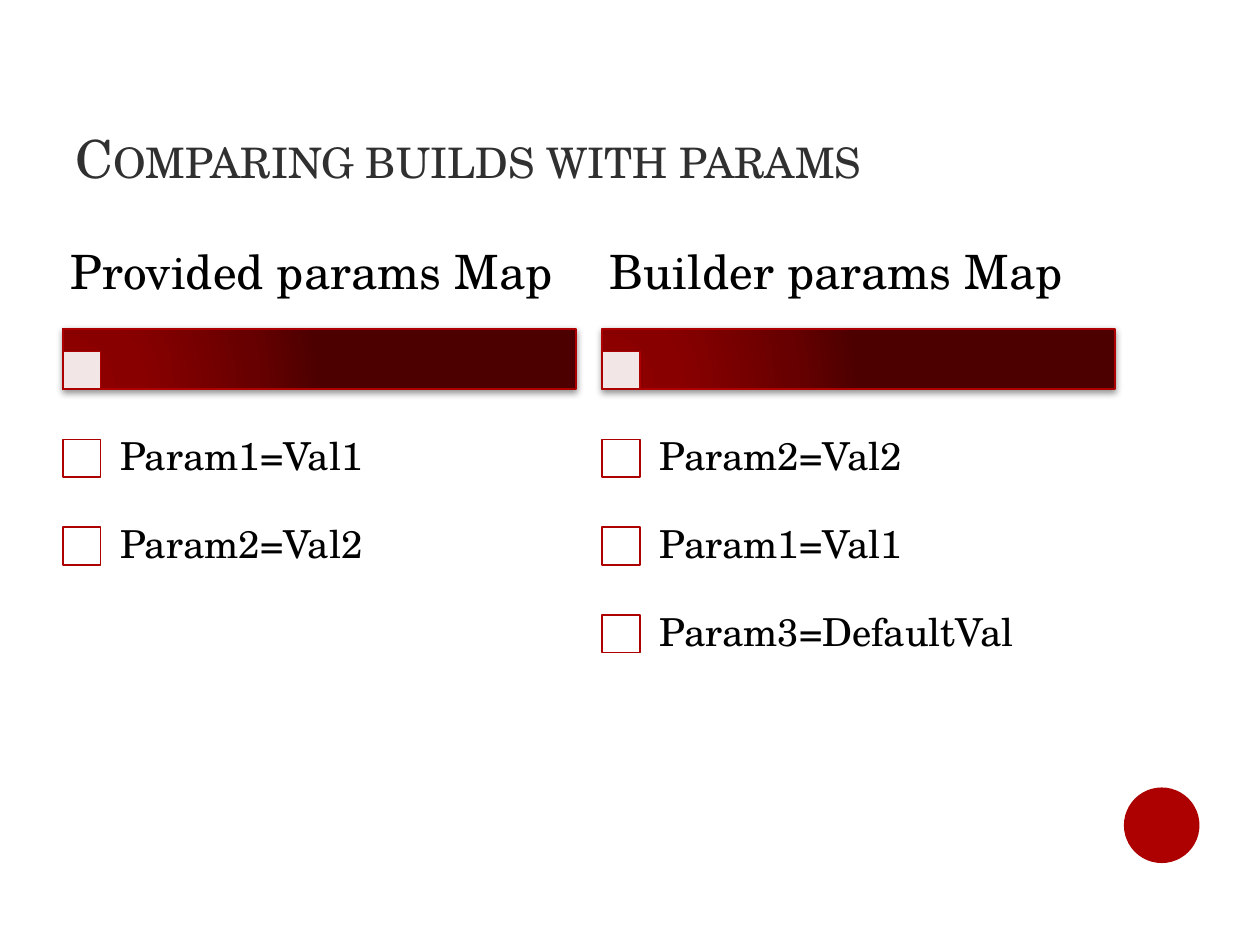
from dataclasses import dataclass

from lxml.etree import SubElement
from pptx import Presentation
from pptx.dml.color import RGBColor
from pptx.enum.shapes import MSO_SHAPE as SHAPE
from pptx.enum.text import MSO_ANCHOR as ANCHOR
from pptx.oxml import parse_xml
from pptx.oxml.ns import nsdecls, qn
from pptx.util import Pt

FONT = "TeX Gyre Schola"
RED, WHITE, BLACK, GREY = "AD0101", "FFFFFF", "000000", "303030"
BAR_STOPS = [(0, "8E0000"), (30, "890000"), (75, "670000"), (100, "4C0000")]
COL_W, BOX, ROW_TOP, ROW_H = 293.04, 21.5, 236.88, 50.1


@dataclass
class Column:
    left: float
    heading: str
    params: list[str]


COLUMNS = [
    Column(36, "Provided params Map", ["Param1=Val1", "Param2=Val2"]),
    Column(344.16, "Builder params Map",
           ["Param2=Val2", "Param1=Val1", "Param3=DefaultVal"]),
]


def rgb(color: str) -> RGBColor:
    return RGBColor.from_string(color)


def add_figure(s, kind, x: float, y: float, w: float, h: float,
               fill: str, line: str | None = None):
    sp = s.shapes.add_shape(kind, Pt(x), Pt(y), Pt(w), Pt(h))
    sp.shadow.inherit = False
    sp.fill.solid()
    sp.fill.fore_color.rgb = rgb(fill)
    if line:
        sp.line.color.rgb = rgb(line)
        sp.line.width = Pt(1)
    else:
        sp.line.fill.background()
    return sp


def add_text(s, x: float, y: float, w: float, h: float, text: str, size: float,
             inset: tuple[float, float], color: str = BLACK,
             anchor=ANCHOR.MIDDLE):
    tf = s.shapes.add_textbox(Pt(x), Pt(y), Pt(w), Pt(h)).text_frame
    tf.word_wrap = True
    tf.vertical_anchor = anchor
    tf.margin_left = tf.margin_right = Pt(inset[0])
    tf.margin_top = tf.margin_bottom = Pt(inset[1])
    p = tf.paragraphs[0]
    r = p.add_run()
    r.text = text
    r.font.name, r.font.size = FONT, Pt(size)
    r.font.color.rgb = rgb(color)
    return p, r


def add_bar(s, x: float, y: float, w: float, h: float) -> None:
    sp = add_figure(s, SHAPE.RECTANGLE, x, y, w, h, BAR_STOPS[0][1], RED)
    pr = sp._element.spPr
    # Radial gradient
    stops = "".join(f'<a:gs pos="{pos * 1000}"><a:srgbClr val="{c}"/></a:gs>'
                    for pos, c in BAR_STOPS)
    grad = parse_xml(
        f'<a:gradFill {nsdecls("a")} rotWithShape="1"><a:gsLst>{stops}</a:gsLst>'
        '<a:path path="circle"><a:fillToRect l="5000" t="100000" r="120000" '
        'b="10000"/></a:path></a:gradFill>')
    pr.replace(pr.find(qn("a:solidFill")), grad)
    # Soft shadow below
    pr.find(qn("a:effectLst")).append(parse_xml(
        f'<a:outerShdw {nsdecls("a")} blurRad="{Pt(4)}" dist="{Pt(1.6)}" '
        'dir="5400000" rotWithShape="0"><a:srgbClr val="000000">'
        '<a:alpha val="42000"/></a:srgbClr></a:outerShdw>'))


def add_list_text(s, x: float, y: float, w: float, h: float, text: str,
                  size: float, inset: tuple[float, float]) -> None:
    p, _ = add_text(s, x, y, w, h, text, size, inset)
    p.line_spacing = 0.9
    p.space_after = Pt(round(size * 0.35, 1))


def add_column(s, col: Column) -> None:
    x = col.left
    # Header bar with its small box and heading
    add_bar(s, x, 187.92, COL_W, 34.5)
    box = add_figure(s, SHAPE.RECTANGLE, x, 200.9, BOX, BOX, WHITE, RED)
    color = box.fill._xPr.find(qn("a:solidFill"))[0]
    SubElement(color, qn("a:alpha")).set("val", "90000")
    add_list_text(s, x, 126, COL_W, 61.92, col.heading, 27, (4.32, 2.88))
    # Parameter rows
    for i, param in enumerate(col.params):
        y = ROW_TOP + i * ROW_H
        add_figure(s, SHAPE.RECTANGLE, x, y + (ROW_H - BOX) / 2, BOX, BOX,
                   WHITE, RED)
        add_list_text(s, x + 20.5, y, COL_W - 20.5, ROW_H, param, 22,
                      (12.24, 12.24))


def main() -> None:
    prs = Presentation()
    prs.slide_width, prs.slide_height = Pt(720), Pt(540)
    s = prs.slides.add_slide(prs.slide_layouts[6])

    # Corner disc
    add_figure(s, SHAPE.OVAL, 642.24, 450, 43.2, 43.2, RED)

    # Title in small caps
    _, r = add_text(s, 36, 21.6, 588.24, 90, "Comparing builds with params",
                    30, (7.2, 3.6), GREY, ANCHOR.BOTTOM)
    r.font._element.set("cap", "small")

    # Two parameter maps
    for col in COLUMNS:
        add_column(s, col)

    prs.save("out.pptx")


if __name__ == "__main__":
    main()
